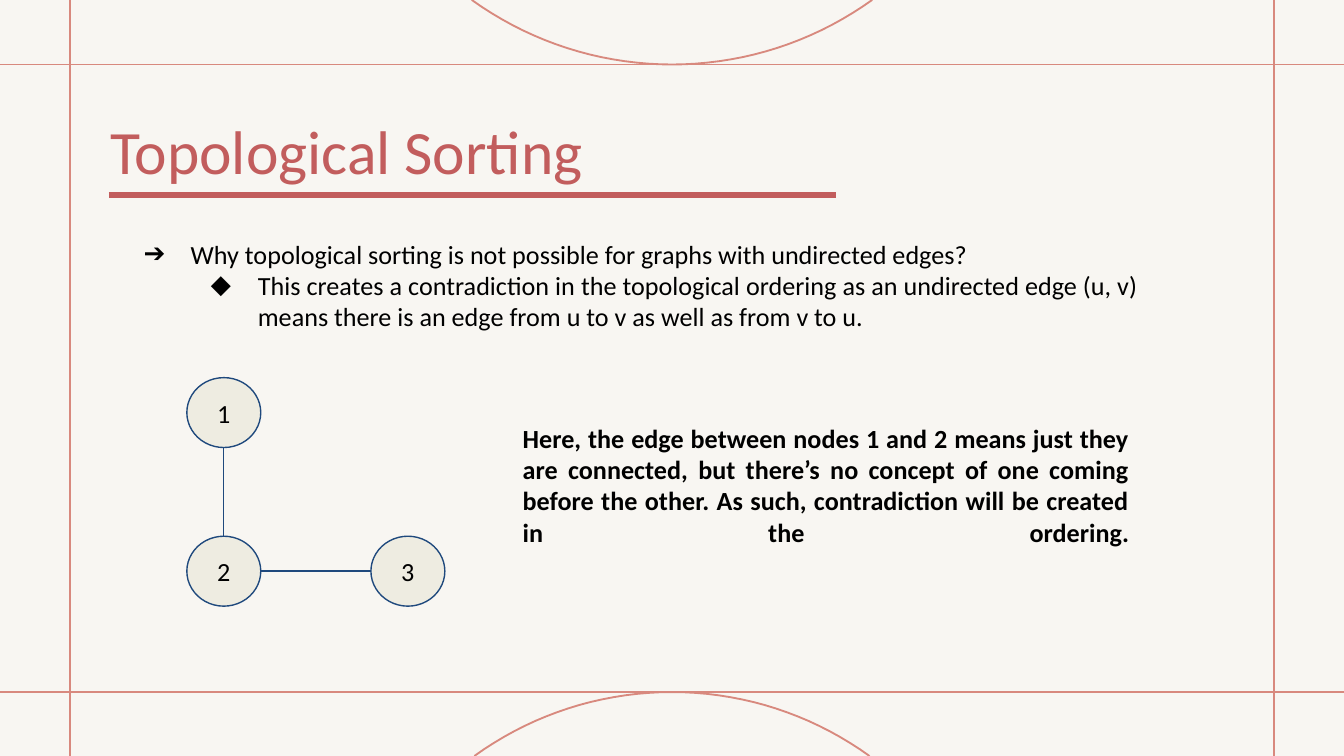
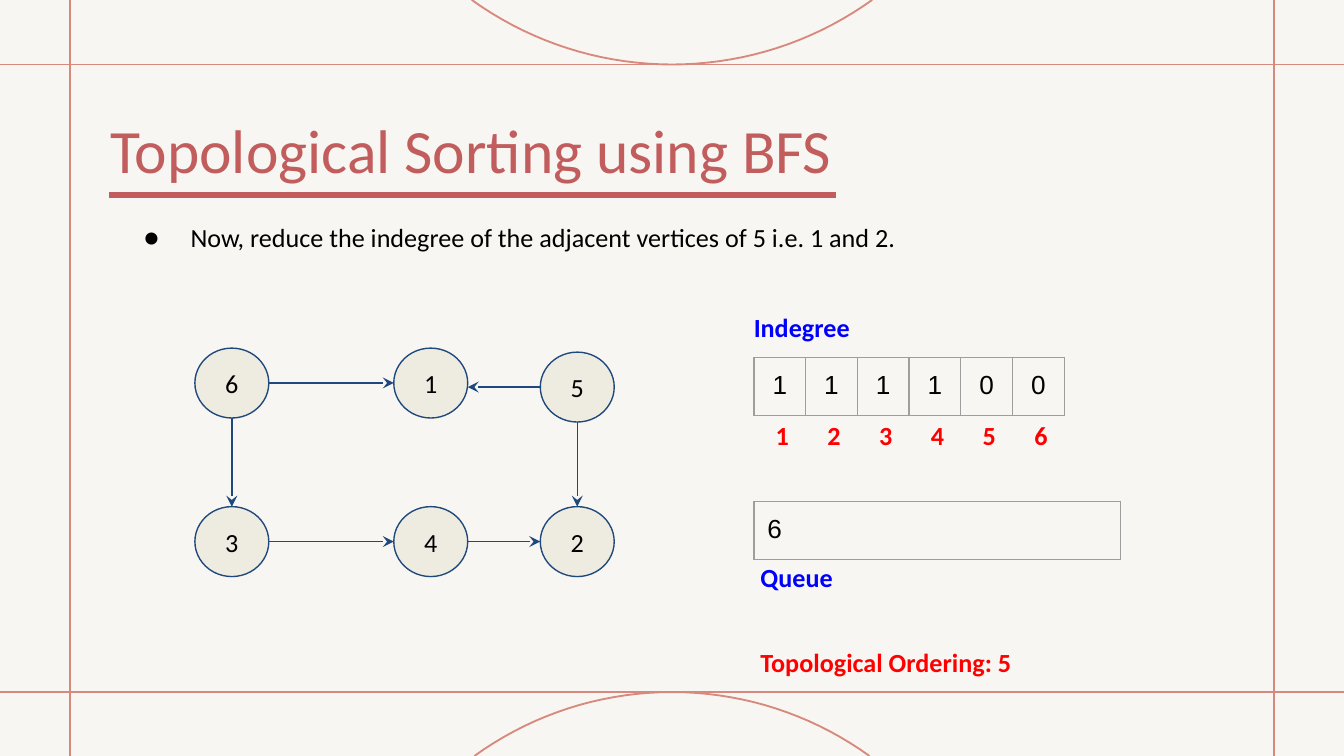
from math import asin, cos, sin

from lxml.etree import SubElement
from pptx import Presentation
from pptx.dml.color import RGBColor
from pptx.enum.shapes import MSO_CONNECTOR as CXN, MSO_SHAPE as SHAPE
from pptx.enum.text import MSO_ANCHOR as ANCHOR, PP_ALIGN as ALIGN
from pptx.oxml.ns import qn
from pptx.util import Inches, Pt

WIDTH = 10
HEIGHT = WIDTH * 9 / 16
PAPER, FRAME, ACCENT = "F8F6F2", "D8897E", "C25D5D"
NODE_FILL, NODE_LINE, GRID = "EEECE1", "1F497D", "9E9E9E"
BLACK, BLUE, RED = "000000", "0000FF", "FF0000"
NODE_W, NODE_H = 0.55, 0.52
MARGIN = 0.1


def rgb(color):
    return RGBColor.from_string(color)


class Deck:
    font, size = "Calibri", 14

    def __init__(self):
        self.prs = Presentation()
        self.prs.slide_width, self.prs.slide_height = Inches(WIDTH), Inches(HEIGHT)
        self.layout = self.prs.slide_layouts[5]
        fill = self.prs.slide_master.background.fill
        fill.solid()
        fill.fore_color.rgb = rgb(PAPER)
        self.s = None

    def slide(self, title, top):
        self.s = self.prs.slides.add_slide(self.layout)
        if len(self.prs.slides) == 1:
            self.frame()
        sp = self.s.shapes.title
        sp.left, sp.top = Inches(0.82), Inches(top)
        sp.width, sp.height = Inches(5.47), Inches(0.56)
        p = self.prepare(sp.text_frame, 0, ANCHOR.TOP).paragraphs[0]
        p.alignment = ALIGN.LEFT
        self.run(p, title, ACCENT, size=33)

    def frame(self):
        """Draw the shared lines and arcs, then move them to the layout."""
        for y in (0.48, 5.15):
            self.line(0, y, WIDTH, y, FRAME, 1)
        for x in (0.52, 9.48):
            self.line(x, 0, x, HEIGHT, FRAME, 1)
        self.arc(0.48, 1.49, 2.55, 1)
        self.arc(5.15, 1.47, 2.51, -1)
        self.line(0.81, 1.45, 6.22, 1.45, ACCENT, 3)
        for sp in list(self.s.shapes):
            if not sp.is_placeholder:
                self.layout.shapes._spTree.append(sp._element)

    def arc(self, tip, half_chord, radius, side):
        """Arc touching y = tip; side is 1 for a bulge down, -1 for up."""
        steps = 36
        span = asin(half_chord / radius)
        angles = [span * (2 * i / steps - 1) for i in range(steps + 1)]
        points = [(Inches(WIDTH / 2 + radius * sin(a)),
                   Inches(tip - side * radius * (1 - cos(a)))) for a in angles]
        builder = self.s.shapes.build_freeform(*points[0])
        builder.add_line_segments(points[1:], close=False)
        sp = builder.convert_to_shape()
        sp.shadow.inherit = False
        sp.fill.background()
        self.stroke(sp, FRAME, 1)

    def stroke(self, sp, color, width):
        sp.line.color.rgb = rgb(color)
        sp.line.width = Pt(width)

    def line(self, x1, y1, x2, y2, color, width, arrow=False):
        sp = self.s.shapes.add_connector(
            CXN.STRAIGHT, Inches(x1), Inches(y1), Inches(x2), Inches(y2))
        self.stroke(sp, color, width)
        if arrow:
            SubElement(sp.line._get_or_add_ln(), qn("a:tailEnd"), type="stealth")
        SubElement(sp._element.spPr, qn("a:effectLst"))

    def prepare(self, tf, margin=MARGIN, anchor=ANCHOR.TOP):
        tf.word_wrap = True
        tf.vertical_anchor = anchor
        tf.margin_left = tf.margin_right = Inches(margin)
        tf.margin_top = tf.margin_bottom = Inches(margin)
        return tf

    def run(self, p, text, color=BLACK, bold=False, size=None, font=None):
        r = p.add_run()
        r.text = text
        r.font.name = font or self.font
        r.font.size = Pt(size or self.size)
        r.font.bold = bold
        r.font.color.rgb = rgb(color)

    def box(self, x, y, w, h):
        sp = self.s.shapes.add_textbox(Inches(x), Inches(y), Inches(w), Inches(h))
        return self.prepare(sp.text_frame)

    def label(self, x, y, w, h, text, color=BLACK, align=ALIGN.LEFT):
        p = self.box(x, y, w, h).paragraphs[0]
        p.alignment = align
        self.run(p, text, color, bold=True)
        return p

    def bullets(self, x, y, w, h, items):
        """Items are (level, bullet, text, alignment)."""
        tf = self.box(x, y, w, h)
        for i, (level, mark, text, align) in enumerate(items):
            p = tf.add_paragraph() if i else tf.paragraphs[0]
            p.level, p.alignment = level, align
            pPr = p._p.get_or_add_pPr()
            pPr.set("marL", str(Inches(0.5 * (level + 1))))
            pPr.set("indent", str(Inches(-0.35)))
            color = SubElement(pPr, qn("a:buClr"))
            SubElement(color, qn("a:srgbClr"), val=BLACK)
            SubElement(pPr, qn("a:buSzPts"), val=str(self.size * 100))
            SubElement(pPr, qn("a:buFont"), typeface=self.font)
            SubElement(pPr, qn("a:buChar"), char=mark)
            self.run(p, text)

    def node(self, name, x, y):
        sp = self.s.shapes.add_shape(
            SHAPE.OVAL, Inches(x), Inches(y), Inches(NODE_W), Inches(NODE_H))
        sp.shadow.inherit = False
        sp.fill.solid()
        sp.fill.fore_color.rgb = rgb(NODE_FILL)
        self.stroke(sp, NODE_LINE, 0.75)
        p = self.prepare(sp.text_frame, anchor=ANCHOR.MIDDLE).paragraphs[0]
        p.alignment = ALIGN.CENTER
        self.run(p, name)

    def graph(self, nodes, edges, arrow):
        """Edges run straight from the first node's rim to the second's."""
        for name, (x, y) in nodes.items():
            self.node(name, x, y)
        for start, end in edges:
            (x1, y1), (x2, y2) = nodes[start], nodes[end]
            if x1 == x2:
                x = x1 + NODE_W / 2
                ends = (x, y1 + NODE_H, x, y2)
            else:
                y = y1 + NODE_H / 2
                ends = ((x1 + NODE_W, y, x2, y) if x1 < x2
                        else (x1, y, x2 + NODE_W, y))
            self.line(*ends, NODE_LINE, 0.75, arrow)

    def table(self, x, y, w, h, values, align):
        n = len(values)
        table = self.s.shapes.add_table(
            1, n, Inches(x), Inches(y), Inches(w), Inches(h)).table
        table.first_row = table.horz_banding = False
        for i, value in enumerate(values):
            cell = table.cell(0, i)
            cell.margin_left = cell.margin_right = Inches(MARGIN)
            cell.margin_top = cell.margin_bottom = Inches(MARGIN)
            tcPr = cell._tc.get_or_add_tcPr()
            for side in ("lnL", "lnR", "lnT", "lnB"):
                ln = SubElement(tcPr, qn("a:" + side), w=str(Pt(0.75)))
                fill = SubElement(ln, qn("a:solidFill"))
                SubElement(fill, qn("a:srgbClr"), val=GRID)
            cell.fill.background()
            p = cell.text_frame.paragraphs[0]
            p.alignment = align
            self.run(p, value, font="Arial")

    def index_row(self, x, y, w, h, first, step, names):
        """Labels centred on tab stops, the first one at x = first."""
        p = self.label(x, y, w, h, "".join("\t" + n for n in names), RED)
        tabs = SubElement(p._p.get_or_add_pPr(), qn("a:tabLst"))
        for i in range(len(names)):
            pos = Inches(first + step * i - x - MARGIN)
            SubElement(tabs, qn("a:tab"), pos=str(pos), algn="ctr")


def undirected_slide(deck):
    deck.slide("Topological Sorting", 0.84)
    deck.bullets(0.82, 1.67, 7.75, 0.91, [
        (0, "➔", "Why topological sorting is not possible for graphs with "
                 "undirected edges?", ALIGN.LEFT),
        (1, "◆", "This creates a contradiction in the topological ordering as an "
                 "undirected edge (u, v) means there is an edge from u to v as "
                 "well as from v to u.", ALIGN.JUSTIFY),
    ])
    nodes = {"1": (1.39, 2.81), "2": (1.39, 3.99), "3": (2.76, 3.99)}
    deck.graph(nodes, ["12", "23"], arrow=False)
    p = deck.label(
        3.79, 3.04, 4.71, 1.62,
        "Here, the edge between nodes 1 and 2 means just they are connected, but "
        "there’s no concept of one coming before the other. As such, "
        "contradiction will be created in the ordering.", align=ALIGN.JUSTIFY)
    p.add_line_break()  # stretches the last line to full width


def bfs_slide(deck):
    deck.slide("Topological Sorting using BFS", 0.83)
    deck.bullets(0.82, 1.55, 8.13, 0.44, [
        (0, "●", "Now, reduce the indegree of the adjacent vertices of 5 i.e. "
                 "1 and 2.", ALIGN.LEFT),
    ])

    # Directed graph
    left, middle, right = 1.45, 2.93, 4.02
    top, bottom = 2.59, 3.77
    nodes = {"6": (left, top), "1": (middle, top), "5": (right, 2.62),
             "3": (left, bottom), "4": (middle, bottom), "2": (right, bottom)}
    deck.graph(nodes, ["61", "63", "34", "51", "52", "42"], arrow=True)

    # Indegree array
    table_x, table_w = 5.61, 2.31
    indegrees, vertices = "111100", "123456"
    step = table_w / len(vertices)
    deck.label(5.51, 2.22, 1.19, 0.58, "Indegree", BLUE)
    deck.table(table_x, 2.66, table_w, 0.42, indegrees, ALIGN.CENTER)
    deck.index_row(5.38, 3.02, 2.65, 0.58, table_x + step / 2 + 0.02, step, vertices)

    # Queue and result
    deck.table(table_x, 3.73, 2.73, 0.33, "6", ALIGN.LEFT)
    deck.label(5.56, 4.08, 1.22, 0.58, "Queue", BLUE)
    deck.label(5.56, 4.71, 4.39, 0.44, "Topological Ordering: 5", RED)


def main():
    deck = Deck()
    undirected_slide(deck)
    bfs_slide(deck)
    deck.prs.save("out.pptx")


if __name__ == "__main__":
    main()
